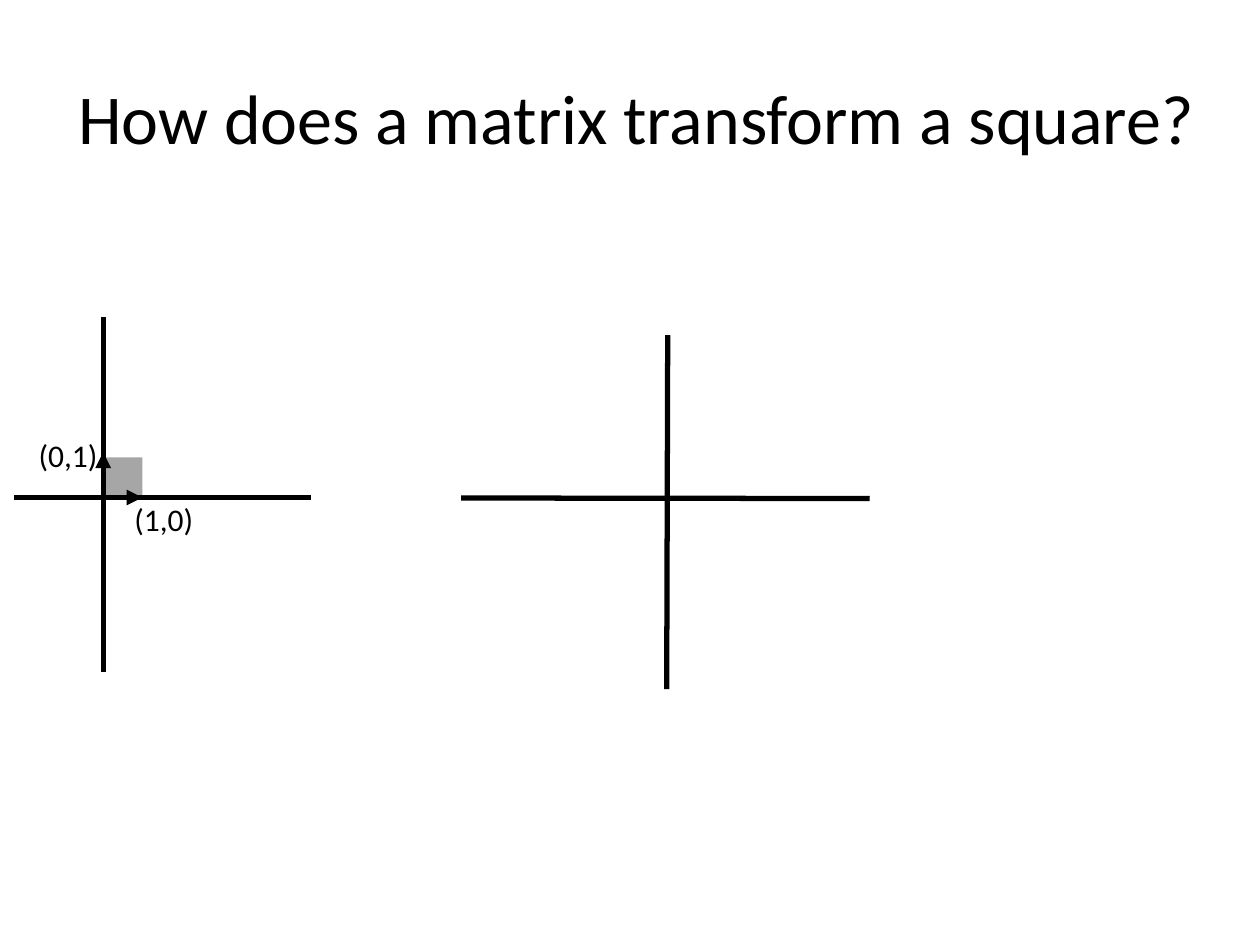
"""Build a slide that asks how a matrix transforms the unit square."""
from lxml.etree import SubElement
from pptx import Presentation
from pptx.dml.color import RGBColor
from pptx.enum.shapes import MSO_CONNECTOR as CONN, MSO_SHAPE as SHAPE
from pptx.enum.text import MSO_ANCHOR as ANCHOR, MSO_AUTO_SIZE as AUTO, PP_ALIGN as ALIGN
from pptx.oxml.ns import qn
from pptx.util import Cm, Pt


def rgb(value):
    return RGBColor.from_string(value)


def write(tf, text, size=18, color="000000", font="Calibri", align=ALIGN.LEFT):
    p = tf.paragraphs[0]
    p.alignment = align
    r = p.add_run()
    r.text = text
    r.font.size = Pt(size)
    r.font.name = font
    r.font.color.rgb = rgb(color)


class Sketch:
    ink = "000000"
    shade = "A6A6A6"
    weight = 3

    def __init__(self, s):
        self.s = s

    def title(self, x, y, w, h, text):
        tf = self.s.shapes.add_textbox(Cm(x), Cm(y), Cm(w), Cm(h)).text_frame
        tf.word_wrap = True
        tf.vertical_anchor = ANCHOR.MIDDLE
        write(tf, text, size=40, color=self.ink, align=ALIGN.CENTER)

    def label(self, x, y, text):
        tf = self.s.shapes.add_textbox(Cm(x), Cm(y), Cm(1.75), Cm(1.02)).text_frame
        tf.word_wrap = False
        tf.auto_size = AUTO.SHAPE_TO_FIT_TEXT
        write(tf, text, color=self.ink)

    def square(self, x, y, w, h):
        sp = self.s.shapes.add_shape(SHAPE.RECTANGLE, Cm(x), Cm(y), Cm(w), Cm(h))
        sp.shadow.inherit = False
        sp.fill.solid()
        sp.fill.fore_color.rgb = rgb(self.shade)
        sp.line.fill.background()

    def line(self, x1, y1, x2, y2, arrow=False):
        sp = self.s.shapes.add_connector(CONN.STRAIGHT, Cm(x1), Cm(y1), Cm(x2), Cm(y2))
        sp.line.color.rgb = rgb(self.ink)
        sp.line.width = Pt(self.weight)
        ln = sp.line._get_or_add_ln()
        ln.set("cap", "sq")
        if arrow:
            SubElement(ln, qn("a:tailEnd"), type="triangle")
        SubElement(sp._element.spPr, qn("a:effectLst"))


def main():
    prs = Presentation()
    prs.slide_width, prs.slide_height = Cm(25.4), Cm(19.05)
    sketch = Sketch(prs.slides.add_slide(prs.slide_layouts[6]))

    sketch.title(0.25, 0.76, 25.15, 3.18, "How does a matrix transform a square?")
    sketch.line(9.35, 10.04, 17.48, 10.05)
    sketch.line(13.44, 13.84, 13.46, 6.81)

    x0, y0 = 2.08, 10.03
    sketch.label(2.46, 9.96, "(1,0)")
    sketch.label(0.53, 8.66, "(0,1)")
    sketch.square(x0, 9.22, 0.79, 0.81)
    sketch.line(0.33, y0, 6.22, y0)
    sketch.line(x0, 13.49, x0, 6.45)
    for x, y in ((2.87, y0), (x0, 9.12)):
        sketch.line(x0, y0, x, y, arrow=True)

    prs.save("out.pptx")


if __name__ == "__main__":
    main()
